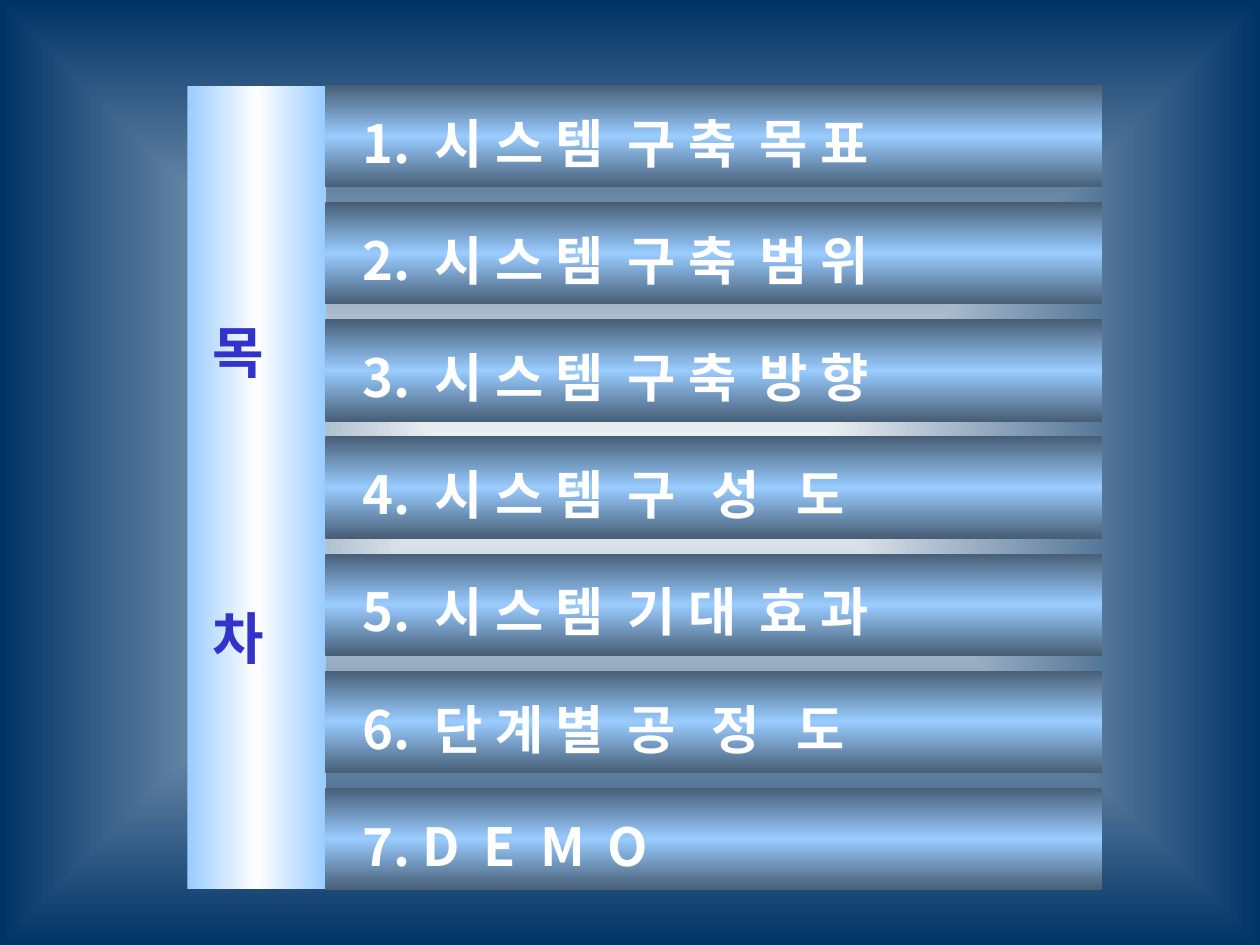
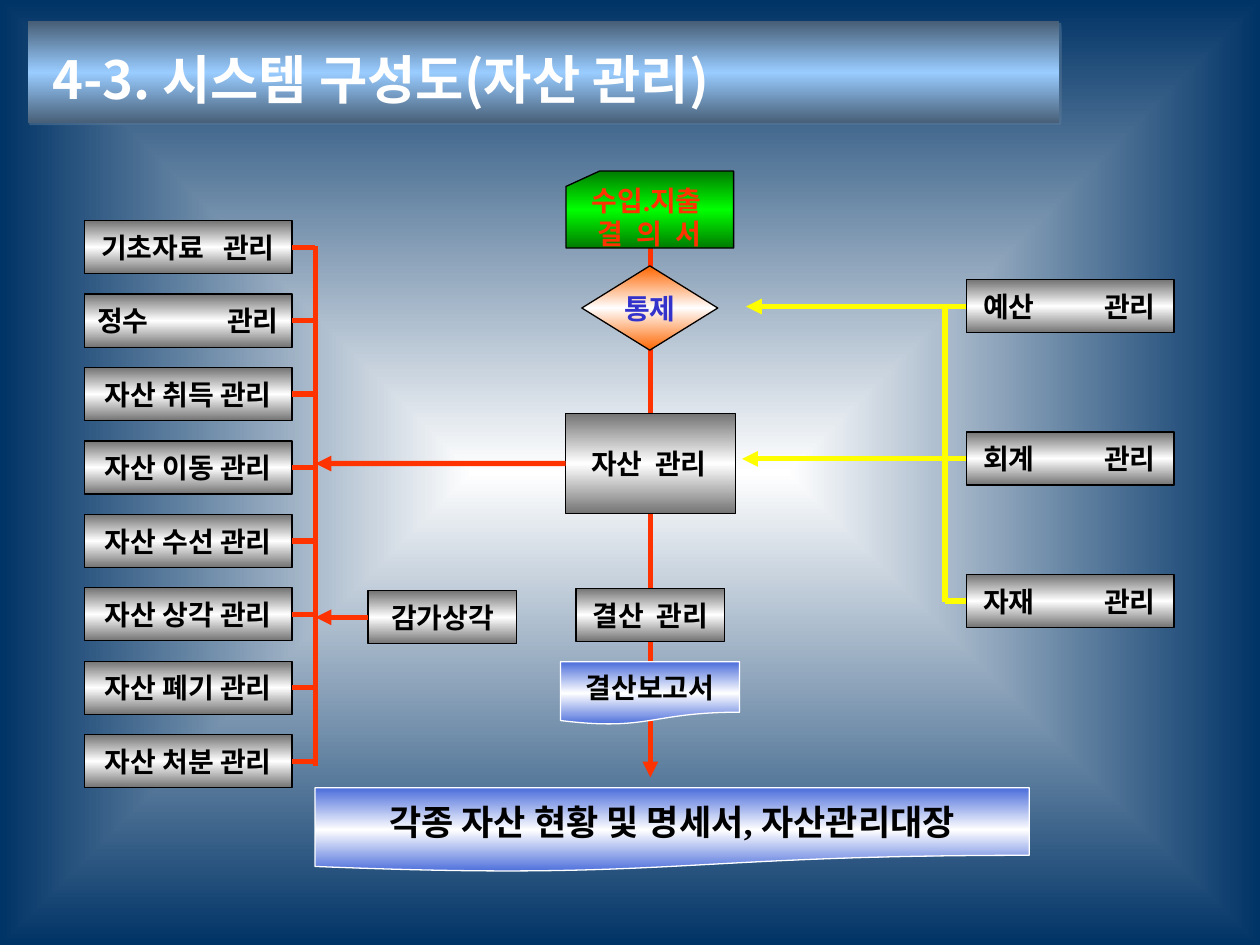
"""Build the contents slide and the asset management system diagram."""
from lxml import etree
from pptx import Presentation
from pptx.dml.color import RGBColor
from pptx.enum.shapes import MSO_CONNECTOR, MSO_SHAPE
from pptx.enum.text import MSO_ANCHOR, PP_ALIGN
from pptx.oxml.ns import qn
from pptx.util import Cm, Pt

SANS, SERIF = "Noto Sans CJK KR", "Times New Roman"
BLACK, WHITE, BLUE, RED, YELLOW = "000000", "FFFFFF", "3333CC", "FF3300", "FFFF00"
BAND = ("475E76", "99CCFF", "475E76")
SIDE = ("99CCFF", WHITE, "99CCFF")
STEEL = ("737373", WHITE, "737373")
PAPER = ("4B6DDB", WHITE, "4B6DDB")
GREEN = ("007B00", "00FF00", "007B00")
ORANGE = ("FF6600", "FEFEFE", "FF6600")
BACKGROUND = (WHITE, "003366")

THREE_PARTS = (1.47, 5.36, 8.02)
FOUR_PARTS = (1.47, 5.36, 7.05, 8.75)
DEMO_PARTS = (1.21, 2.44, 3.59, 4.94)
CONTENTS = [
    ("1.\t시 스 템\t구 축\t목 표", THREE_PARTS),
    ("2.\t시 스 템\t구 축\t범 위", THREE_PARTS),
    ("3.\t시 스 템\t구 축\t방 향", THREE_PARTS),
    ("4.\t시 스 템\t구\t성\t도", FOUR_PARTS),
    ("5.\t시 스 템\t기 대\t효 과", THREE_PARTS),
    ("6.\t단 계 별\t공\t정\t도", FOUR_PARTS),
    ("7.\tD\tE\tM\tO", DEMO_PARTS),
]

TITLE = "4-3. 시스템 구성도(자산 관리)"
ASSET_TASKS = [
    ("기초자료\t관리", 0.34, (2.46,)),
    ("정수\t관리", 0.26, (2.62,)),
    ("자산 취득 관리", 0.25, ()),
    ("자산 이동 관리", 0.25, ()),
    ("자산 수선 관리", 0.25, ()),
    ("자산 상각 관리", 0.25, ()),
    ("자산 폐기 관리", 0.25, ()),
    ("자산 처분 관리", 0.25, ()),
]
LINKED_SYSTEMS = [("예산\t관리", 5.64), ("회계\t관리", 8.71), ("자재\t관리", 11.58)]

BOX_W, BOX_H, SMALL_W = 4.19, 1.07, 3.0
TASK_X, TASK_Y, TASK_STEP = 1.7, 4.45, 1.48
TASK_BUS, SYSTEM_BUS, FLOW_X = 6.36, 19.05, 13.11


def rgb(color):
    return RGBColor.from_string(color)


def set_gradient(fill, element, colors, angle=None):
    fill.gradient()
    grad = next(element.iter(qn("a:gradFill")))
    for child in list(grad):
        grad.remove(child)
    stops = etree.SubElement(grad, qn("a:gsLst"))
    for i, color in enumerate(colors):
        gs = etree.SubElement(stops, qn("a:gs"), pos=str(100000 * i // (len(colors) - 1)))
        etree.SubElement(gs, qn("a:srgbClr"), val=color)
    if angle is None:
        shade = etree.SubElement(grad, qn("a:path"), path="rect")
        etree.SubElement(shade, qn("a:fillToRect"), l="50000", t="50000", r="50000", b="50000")
    else:
        etree.SubElement(grad, qn("a:lin"), ang=str(angle * 60000), scaled="0")


def new_slide(prs):
    s = prs.slides.add_slide(prs.slide_layouts[6])
    set_gradient(s.background.fill, s._element, BACKGROUND)
    return s


def add_box(s, x, y, w, h, colors, kind=MSO_SHAPE.RECTANGLE, line=BLACK, angle=90):
    sp = s.shapes.add_shape(kind, Cm(x), Cm(y), Cm(w), Cm(h))
    sp.shadow.inherit = False
    set_gradient(sp.fill, sp._element, colors, angle)
    if line:
        sp.line.color.rgb = rgb(line)
        sp.line.width = Pt(0.75)
    else:
        sp.line.fill.background()
    return sp


def write(sp, lines, size=16, color=BLACK, font=SERIF, inset=0.25, tabs=(),
          align=PP_ALIGN.CENTER, spacing=None, gap=0, tracking=0):
    tf = sp.text_frame
    tf.word_wrap = bool(tabs) or align == PP_ALIGN.LEFT
    tf.vertical_anchor = MSO_ANCHOR.MIDDLE
    tf.margin_left, tf.margin_right = Cm(inset), Cm(0 if tabs else 0.25)
    tf.margin_top = tf.margin_bottom = Cm(0.13)
    for i, text in enumerate(lines):
        p = tf.add_paragraph() if i else tf.paragraphs[0]
        if tabs:
            tab_list = etree.SubElement(p._p.get_or_add_pPr(), qn("a:tabLst"))
            for pos in tabs:
                etree.SubElement(tab_list, qn("a:tab"), pos=str(int(Cm(pos))), algn="l")
        p.alignment = PP_ALIGN.LEFT if tabs else align
        if spacing:
            p.line_spacing = spacing
        if i and gap:
            p.space_before = Pt(gap)
        r = p.add_run()
        r.text = text
        r.font.size, r.font.bold, r.font.name = Pt(size), True, font
        r.font.color.rgb = rgb(color)
        r_pr = r._r.get_or_add_rPr()
        etree.SubElement(r_pr, qn("a:ea"), typeface=SANS)
        if i and tracking:
            r_pr.set("spc", str(tracking * 100))


def add_band(s, x, y, w, text, inset, tabs=()):
    sp = add_box(s, x, y, w, 2.06, BAND, line=None)
    write(sp, [text], 30, WHITE, SANS, inset, tabs, PP_ALIGN.LEFT, 1.2)
    return sp


def add_line(s, start, end, color, arrow=False, source=None, site=1):
    c = s.shapes.add_connector(MSO_CONNECTOR.STRAIGHT, *map(Cm, start + end))
    if source is not None:
        c.begin_connect(source, site)
    c.line.color.rgb = rgb(color)
    c.line.width = Pt(3)
    if arrow:
        etree.SubElement(c.line._get_or_add_ln(), qn("a:tailEnd"), type="triangle")
    etree.SubElement(c._element.spPr, qn("a:effectLst"))


def build_contents(prs):
    s = new_slide(prs)
    side = add_box(s, 3.78, 1.73, 2.79, 16.2, SIDE, line=None, angle=0)
    write(side, ["목", "차"], 32, BLUE, SANS, 0.5, align=PP_ALIGN.LEFT, spacing=1.2, gap=117)
    for i, (text, tabs) in enumerate(CONTENTS):
        add_band(s, 6.56, 1.72 + 2.36 * i, 15.66, text, 0.74, tabs)


def add_title(s):
    sp = add_band(s, 0.56, 0.43, 20.8, TITLE, 0.49)
    effects = sp._element.spPr.find(qn("a:effectLst"))
    shadow = etree.SubElement(effects, qn("a:outerShdw"), dist=str(int(Pt(1.4))),
                              dir="2700000", algn="ctr", rotWithShape="0")
    color = etree.SubElement(shadow, qn("a:srgbClr"), val="5B7998")
    etree.SubElement(color, qn("a:alpha"), val="50000")


def build_flow(s):
    add_line(s, (FLOW_X, 4.72), (FLOW_X, 15.67), RED, arrow=True)
    voucher = add_box(s, 11.41, 3.45, 3.38, 1.55, GREEN, MSO_SHAPE.FLOWCHART_CARD)
    write(voucher, ["수입.지출 ", "결 의 서"], color=RED, spacing=Pt(19), tracking=2)
    control = add_box(s, 11.73, 5.36, 2.74, 1.7, ORANGE, MSO_SHAPE.FLOWCHART_DECISION)
    write(control, ["통제"], color=BLUE)
    closing = add_box(s, 11.61, 11.86, SMALL_W, BOX_H, STEEL)
    write(closing, ["결산\t관리"], inset=0.34, tabs=(1.29,))
    report = add_box(s, 11.3, 13.34, 3.61, 1.27, PAPER, MSO_SHAPE.FLOWCHART_DOCUMENT, WHITE)
    write(report, ["결산보고서"])
    ledger = add_box(s, 6.35, 15.88, 14.4, 1.7, PAPER, MSO_SHAPE.FLOWCHART_DOCUMENT, WHITE)
    write(ledger, ["각종 자산 현황 및 명세서, 자산관리대장"], 20)
    asset = add_box(s, 11.4, 8.33, 3.43, 2.03, STEEL)
    write(asset, ["자산\t관리"], inset=0.52, tabs=(1.29,))
    mid = 8.33 + 2.03 / 2
    add_line(s, (11.4, mid), (TASK_BUS, mid), RED, True, asset)


def build_tasks(s):
    for i, (text, inset, tabs) in enumerate(ASSET_TASKS):
        y = TASK_Y + TASK_STEP * i
        mid = y + BOX_H / 2
        task = add_box(s, TASK_X, y, BOX_W, BOX_H, STEEL)
        write(task, [text], inset=inset, tabs=tabs)
        add_line(s, (TASK_X + BOX_W, mid), (TASK_BUS, mid), RED, source=task, site=3)
    add_line(s, (TASK_BUS, 4.95), (TASK_BUS, 15.44), RED)
    depreciation = add_box(s, 7.42, 11.91, SMALL_W, BOX_H, STEEL)
    write(depreciation, ["감가상각"])
    mid = 11.91 + BOX_H / 2
    add_line(s, (7.42, mid), (TASK_BUS, mid), RED, True, depreciation)


def build_systems(s):
    for text, y in LINKED_SYSTEMS:
        mid = y + BOX_H / 2
        system = add_box(s, 19.48, y, BOX_W, BOX_H, STEEL)
        write(system, [text], inset=0.34, tabs=(2.44,))
        add_line(s, (19.48, mid), (SYSTEM_BUS, mid), YELLOW, source=system)
    add_line(s, (SYSTEM_BUS, 6.17), (SYSTEM_BUS, 12.14), YELLOW)
    for tip, y in ((15.04, 6.18), (14.96, 9.25)):
        add_line(s, (SYSTEM_BUS, y), (tip, y), YELLOW, arrow=True)


def main():
    prs = Presentation()
    prs.slide_width, prs.slide_height = Cm(25.4), Cm(19.05)
    build_contents(prs)
    s = new_slide(prs)
    add_title(s)
    build_flow(s)
    build_tasks(s)
    build_systems(s)
    prs.save("out.pptx")


if __name__ == "__main__":
    main()
